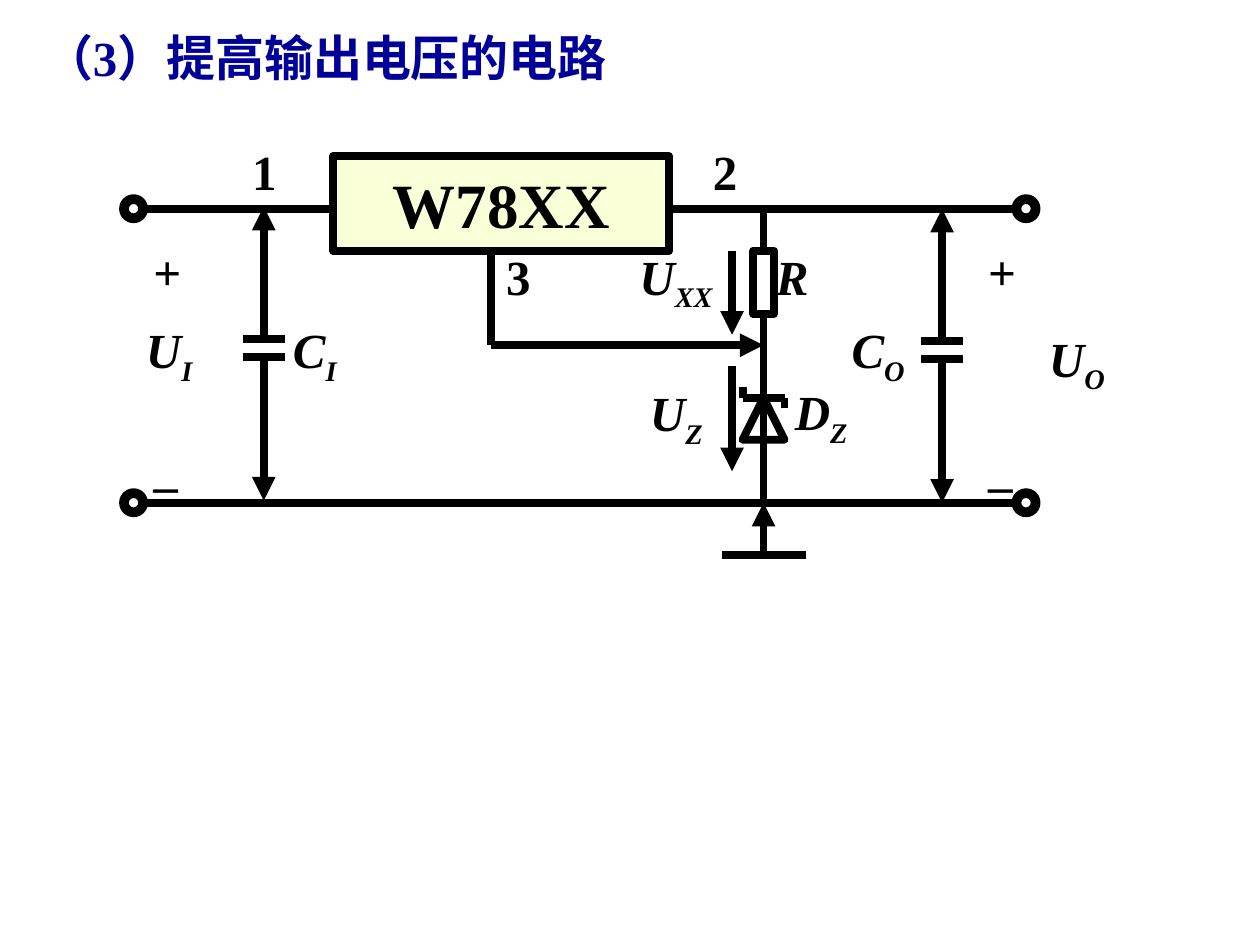
"""Build a slide with a voltage regulator circuit that raises the output voltage."""
from lxml import etree
from pptx import Presentation
from pptx.dml.color import RGBColor
from pptx.enum.shapes import MSO_CONNECTOR, MSO_SHAPE
from pptx.enum.text import MSO_ANCHOR, PP_ALIGN
from pptx.oxml.ns import qn
from pptx.util import Inches, Pt

STRAIGHT = MSO_CONNECTOR.STRAIGHT
RECTANGLE = MSO_SHAPE.RECTANGLE
TRIANGLE = MSO_SHAPE.ISOSCELES_TRIANGLE
DONUT = MSO_SHAPE.DONUT
CENTER = PP_ALIGN.CENTER
MIDDLE = MSO_ANCHOR.MIDDLE

COLORS = {"ink": "000000", "title": "000099", "chip": "F9FFD7"}
LATIN, CHINESE = "Times New Roman", "Noto Sans CJK SC"
CELL, LEFT, TOP = 1 / 12, 0.06, -0.01
LINE_WIDTH, TEXT_SIZE, CHIP_SIZE = 4.5, 28, 36
TOP_RAIL, BOTTOM_RAIL, BRANCH = 20, 48, 72

TITLE = [("（3）", LATIN), ("提高输出电压的电路", CHINESE)]
TERMINALS = [(column, row) for column in (12, 97) for row in (TOP_RAIL, BOTTOM_RAIL)]
WIRES = [
    (13, BOTTOM_RAIL, 96, BOTTOM_RAIL),
    (13, TOP_RAIL, 31, TOP_RAIL),
    (63, TOP_RAIL, 96, TOP_RAIL),
    (46, 24, 46, 33),
    (BRANCH, TOP_RAIL, BRANCH, 24),
    (BRANCH, 30, BRANCH, BOTTOM_RAIL),
    (68, 53, 76, 53),
    (70, 38, 74, 38),
    (70, 38, 70, 37),
    (74, 38, 74, 39),
]
ARROWS = [
    (46, 33, BRANCH, 33),
    (BRANCH, 53, BRANCH, BOTTOM_RAIL),
    (69, 24, 69, 32),
    (69, 35, 69, 45),
]
CAPACITORS = [(24.4, -0.2), (89, 0)]
PINS = [("1", 22.1, 13), ("2", 66, 13), ("3", 46.3, 23)]
SYMBOLS = [
    ("C", "O", 79.2, 30),
    ("C", "I", 26, 30),
    ("U", "I", 12, 30),
    ("U", "O", 98, 30.8),
    ("U", "XX", 59, 23),
    ("U", "Z", 60, 36),
    ("R", "", BRANCH, 23),
    ("D", "Z", 73.8, 35.9),
]
POLARITY_COLUMNS = (12.7, 92.2)


def place(column, row):
    return Inches(LEFT + column * CELL), Inches(TOP + row * CELL)


def extent(columns, rows):
    return Inches(columns * CELL), Inches(rows * CELL)


def color(name):
    return RGBColor.from_string(COLORS[name])


def style_run(run, size=TEXT_SIZE, ink="ink", italic=False, font=LATIN):
    run.font.size = Pt(size)
    run.font.name = font
    run.font.bold = True
    run.font.italic = italic
    run.font.color.rgb = color(ink)


def add_line(slide, start_column, start_row, end_column, end_row, arrow=False):
    connector = slide.shapes.add_connector(
        STRAIGHT, *place(start_column, start_row), *place(end_column, end_row))
    connector.line.width = Pt(LINE_WIDTH)
    connector.line.color.rgb = color("ink")
    if arrow:
        etree.SubElement(connector.line._get_or_add_ln(), qn("a:tailEnd"), type="triangle")
    etree.SubElement(connector._element.spPr, qn("a:effectLst"))


def add_part(slide, kind, column, row, columns, rows, fill=None):
    shape = slide.shapes.add_shape(kind, *place(column, row), *extent(columns, rows))
    shape.shadow.inherit = False
    shape.line.width = Pt(LINE_WIDTH)
    shape.line.color.rgb = color("ink")
    if fill:
        shape.fill.solid()
        shape.fill.fore_color.rgb = color(fill)
    else:
        shape.fill.background()
    return shape


def add_text(slide, column, row, columns, rows, wrap=False):
    box = slide.shapes.add_textbox(*place(column, row), *extent(columns, rows))
    box.text_frame.word_wrap = wrap
    return box.text_frame


def add_capacitor(slide, column, shift):
    for start, end in ((33, TOP_RAIL), (34, BOTTOM_RAIL)):
        add_line(slide, column, start + shift, column, end + shift, arrow=True)
    for plate in (32.6, 34.3):
        add_line(slide, column - 2, plate + shift, column + 2, plate + shift)


def add_title(slide):
    paragraph = add_text(slide, 2.3, 2.2, 76.6, 6.7, wrap=True).paragraphs[0]
    for text, font in TITLE:
        run = paragraph.add_run()
        run.text = text
        style_run(run, ink="title", font=font)
        etree.SubElement(run._r.get_or_add_rPr(), qn("a:ea"), typeface=CHINESE)


def add_symbol(slide, letter, subscript, column, row):
    paragraph = add_text(slide, column, row, 10, 7.5).paragraphs[0]
    for text, baseline in ((letter, "0"), (subscript, "-25000")):
        if text:
            run = paragraph.add_run()
            run.text = text
            style_run(run, italic=True)
            run._r.get_or_add_rPr().set("baseline", baseline)


def add_polarity(slide, column):
    frame = add_text(slide, column, 18.6, 4.3, 29.8, wrap=True)
    frame.text = "+\n_"
    for paragraph in frame.paragraphs:
        paragraph.line_spacing = 1.7
        style_run(paragraph.runs[0])
    frame.paragraphs[1].space_before = Pt(55)


def add_chip(slide):
    frame = add_part(slide, RECTANGLE, 31, 15, 32, 9, "chip").text_frame
    frame.text = "W78XX"
    frame.word_wrap = False
    frame.vertical_anchor = MIDDLE
    frame.paragraphs[0].alignment = CENTER
    style_run(frame.paragraphs[0].runs[0], CHIP_SIZE)


def main():
    presentation = Presentation()
    presentation.slide_width, presentation.slide_height = Inches(10), Inches(7.5)
    slide = presentation.slides.add_slide(presentation.slide_layouts[6])
    add_title(slide)
    for wire in WIRES:
        add_line(slide, *wire)
    for arrow in ARROWS:
        add_line(slide, *arrow, arrow=True)
    for column, shift in CAPACITORS:
        add_capacitor(slide, column, shift)
    for column, row in TERMINALS:
        terminal = add_part(slide, DONUT, column - 1, row - 1, 2, 2, "ink")
        terminal.adjustments[0] = 0.08
    add_part(slide, RECTANGLE, BRANCH - 1, 24, 2, 6)
    add_part(slide, TRIANGLE, BRANCH - 2, 38, 4, 4)
    add_chip(slide)
    for text, column, row in PINS:
        frame = add_text(slide, column, row, 4.7, 6.8)
        frame.text = text
        style_run(frame.paragraphs[0].runs[0])
    for symbol in SYMBOLS:
        add_symbol(slide, *symbol)
    for column in POLARITY_COLUMNS:
        add_polarity(slide, column)
    presentation.save("out.pptx")


if __name__ == "__main__":
    main()
